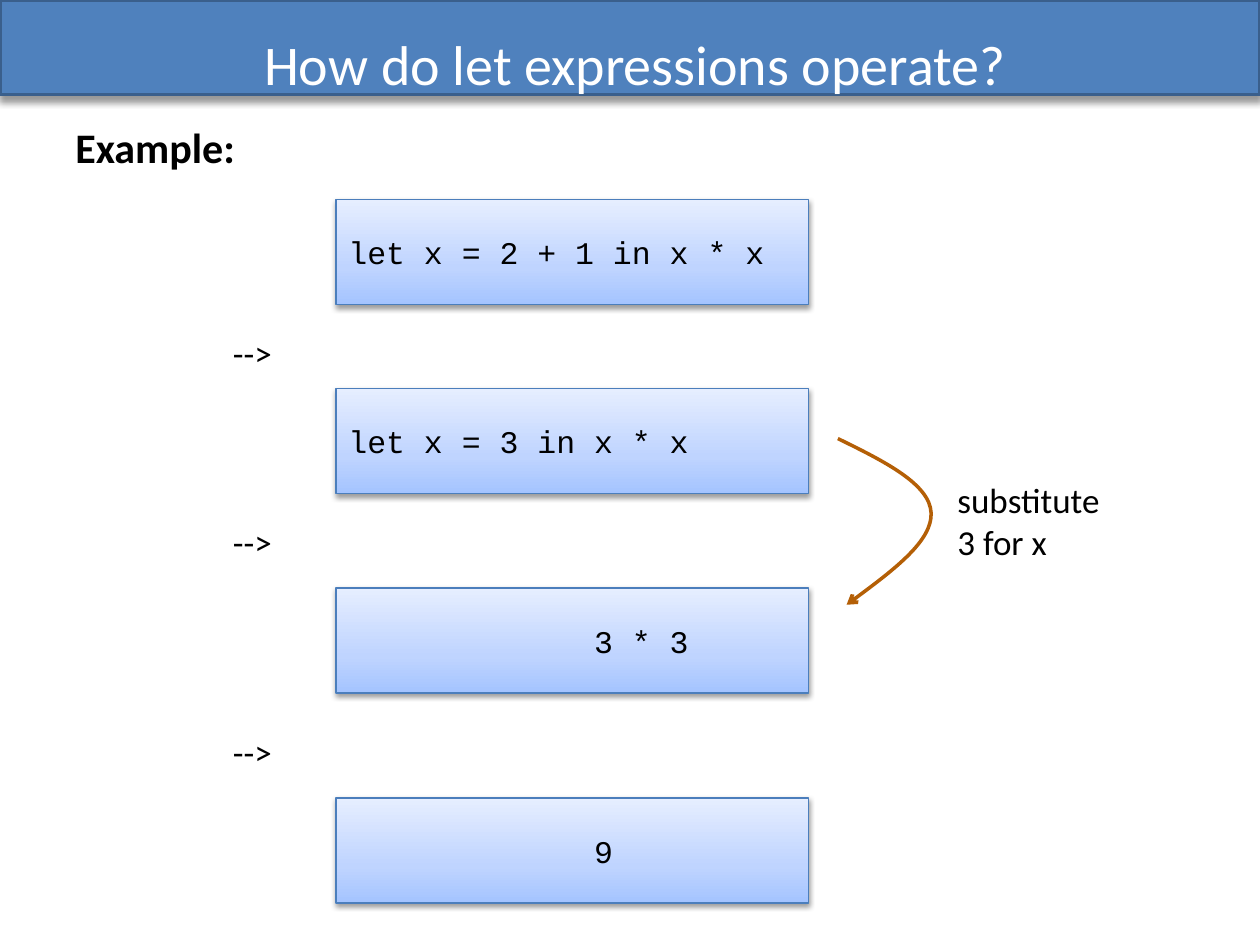
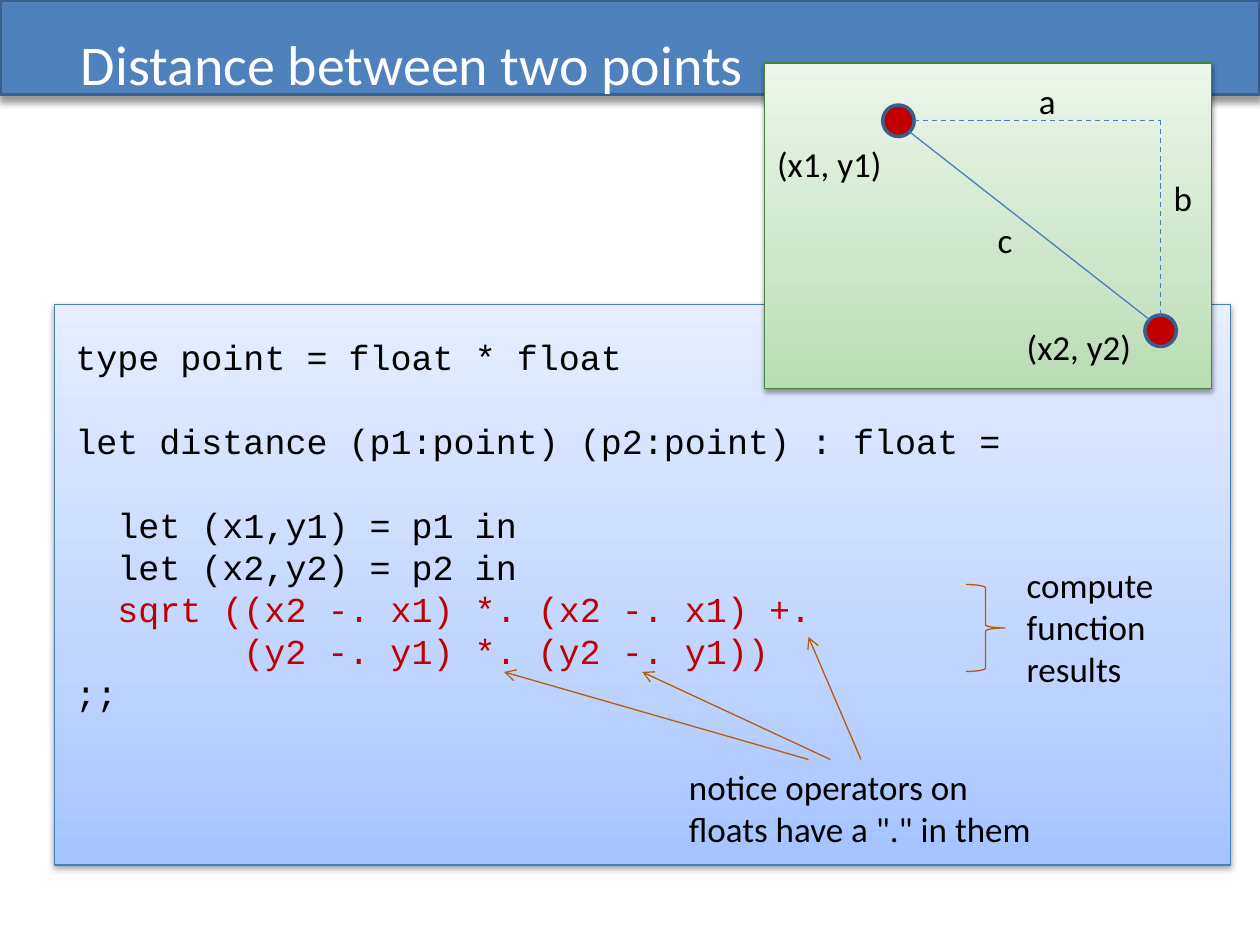
import math
from collections import namedtuple

import pptx
import pptx.dml.color
import pptx.enum.dml
import pptx.enum.shapes
import pptx.enum.text
import pptx.oxml
import pptx.oxml.ns
import pptx.util
from lxml import etree

Pt = pptx.util.Pt
SHAPE = pptx.enum.shapes.MSO_SHAPE
ALIGN = pptx.enum.text.PP_ALIGN
ANCHOR = pptx.enum.text.MSO_ANCHOR
FIT = pptx.enum.text.MSO_AUTO_SIZE
Box = namedtuple("Box", "left top width height")

COLOURS = {
    "text": "000000", "title": "FFFFFF", "band": "4F81BD", "edge": "3A5F8C",
    "blue": "4B7EBC", "green": "4B843F", "red": "C00000", "note": "B45F06",
}
BLUE_FADE = [(0, "A4C4FF"), (35, "BFD4FF"), (100, "E6EEFF")]
GREEN_FADE = [(0, "B8DCB3"), (35, "CDE5CA"), (100, "ECF6EA")]
BODY, CODE = "Calibri", "Courier New"
CODE_ADVANCE = 0.6      # width of a Courier New character, in ems
CODE_PITCH = 24         # line pitch of the program listing
TITLE_BOX = Box(39, -9, 648, 90)


# ---- Shared helpers ----

def rgb(name):
    return pptx.dml.color.RGBColor.from_string(COLOURS[name])


def add_xml(parent, tag, **attributes):
    child = etree.SubElement(parent, pptx.oxml.ns.qn(tag))
    for key, value in attributes.items():
        child.set(key, str(value))
    return child


def lengths(box):
    return [Pt(value) for value in box]


def format_frame(frame, font, size, colour, bold=False):
    for para in frame.paragraphs:
        for span in para.runs:
            span.font.name = font
            span.font.size = Pt(size)
            span.font.bold = bold
            span.font.color.rgb = rgb(colour)


def indent(para, characters, size):
    margin = Pt(characters * CODE_ADVANCE * size)
    para._p.get_or_add_pPr().set("marL", str(int(margin)))


def set_line(line, colour, width, dashed=False, arrow=False):
    line.color.rgb = rgb(colour)
    line.width = Pt(width)
    if dashed:
        line.dash_style = pptx.enum.dml.MSO_LINE.DASH
    if arrow:
        add_xml(line._get_or_add_ln(), "a:tailEnd", type="arrow")


def add_shadow(shape, alpha, blur, distance):
    effects = shape._element.spPr.find(pptx.oxml.ns.qn("a:effectLst"))
    shadow = add_xml(effects, "a:outerShdw", blurRad=int(Pt(blur)),
                     dist=int(Pt(distance)), dir=90 * 60000, rotWithShape=0)
    black = add_xml(shadow, "a:srgbClr", val="000000")
    add_xml(black, "a:alpha", val=alpha * 1000)


def add_shape(page, kind, box, fill, line, width):
    shape = page.shapes.add_shape(kind, *lengths(box))
    shape.shadow.inherit = False
    if fill:
        shape.fill.solid()
        shape.fill.fore_color.rgb = rgb(fill)
    else:
        shape.fill.background()
    set_line(shape.line, line, width)
    return shape


def add_panel(page, box, fade, line):
    panel = add_shape(page, SHAPE.RECTANGLE, box, None, line, 0.75)
    panel.fill.gradient()
    panel.fill.gradient_angle = 90
    stops = panel._element.spPr.find(".//" + pptx.oxml.ns.qn("a:gsLst"))
    for stop in list(stops):
        stops.remove(stop)
    for position, colour in fade:
        stop = add_xml(stops, "a:gs", pos=position * 1000)
        add_xml(stop, "a:srgbClr", val=colour)
    add_shadow(panel, 38, 3.1, 1.6)
    return panel


def add_label(page, box, text, font=BODY, size=20, bold=False, wrap=False):
    label = page.shapes.add_textbox(*lengths(box))
    frame = label.text_frame
    frame.text = text
    frame.word_wrap = wrap
    frame.auto_size = FIT.NONE if wrap else FIT.SHAPE_TO_FIT_TEXT
    format_frame(frame, font, size, "text", bold)
    return label


def add_line(page, start, end, colour, dashed=False, arrow=False):
    straight = pptx.enum.shapes.MSO_CONNECTOR.STRAIGHT
    line = page.shapes.add_connector(straight, *lengths(start + end))
    set_line(line.line, colour, 0.75, dashed, arrow)
    add_xml(line._element.spPr, "a:effectLst")


def add_curved_arrow(page, start, curves):
    """Draw cubic curves, each given as two control points and an end."""
    builder = page.shapes.build_freeform(*lengths(start))
    builder.add_line_segments([lengths(curve[2]) for curve in curves], close=False)
    arrow = builder.convert_to_shape()
    arrow.shadow.inherit = False
    arrow.fill.background()
    set_line(arrow.line, "note", 2, arrow=True)
    segments = list(arrow._element.iter(pptx.oxml.ns.qn("a:lnTo")))
    for segment, curve in zip(segments, curves):
        bend = add_xml(segment.getparent(), "a:cubicBezTo")
        for x, y in curve:
            add_xml(bend, "a:pt", x=int(Pt(x) - arrow.left), y=int(Pt(y) - arrow.top))
        segment.getparent().replace(segment, bend)


# ---- Title and band ----

def put_band_on_layout(page, box):
    band = add_shape(page, SHAPE.RECTANGLE, box, "band", "edge", 2)
    add_shadow(band, 40, 4, 3)
    page.slide_layout.shapes._spTree.insert(2, band._element)


def set_title(page, box, text, align):
    title = page.shapes.title
    title.left, title.top, title.width, title.height = lengths(box)
    frame = title.text_frame
    frame.text = text
    frame.word_wrap = True
    frame.auto_size = FIT.NONE
    frame.vertical_anchor = ANCHOR.MIDDLE
    frame.paragraphs[0].alignment = align
    format_frame(frame, BODY, 32, "title")


# ---- Evaluation of a let expression ----

def add_evaluation(page, box):
    steps = [  # expression, indent in characters, offset of its panel
        ("let x = 2 + 1 in x * x", 0, 0),
        ("let x = 3 in x * x", 0, 108),
        ("3 * 3", 13, 222),
        ("9", 13, 342),
    ]
    height, size = 60, 18
    for number, (text, characters, offset) in enumerate(steps):
        panel = add_panel(page, Box(box.left, box.top + offset, box.width, height),
                          BLUE_FADE, "blue")
        frame = panel.text_frame
        frame.text = text
        frame.word_wrap = True
        frame.vertical_anchor = ANCHOR.MIDDLE
        frame.paragraphs[0].alignment = ALIGN.LEFT
        indent(frame.paragraphs[0], characters, size)
        format_frame(frame, CODE, size, "text")
        if number:
            gap = 36 if number == 1 else 42
            add_label(page, Box(box.left - 66, box.top + offset - gap, 36.7, 31.5), "-->")


def add_substitution(page, box):
    """Curved arrow on the left of the box, its note on the right."""
    x, y = box.left, box.top
    tip = (x + 53.3, y + 42.5)
    add_curved_arrow(page, (x, y), [
        ((x + 26.6, y + 13), (x + 52.6, y + 26), tip),
        ((x + 54, y + 58.3), (x + 29.5, y + 77), (x + 5, y + 95)),
    ])
    add_label(page, Box(x + 61.2, y + 19.4, 97.2, 55.4), "substitute\n3 for x")


# ---- Distance between two points ----

def add_listing(page, box):
    size = 20
    lines = [  # code, indent in characters, empty lines above, colour
        ("type point = float * float", 0, 0, "text"),
        ("let distance (p1:point) (p2:point) : float =", 0, 1, "text"),
        ("let (x1,y1) = p1 in", 2, 1, "text"),
        ("let (x2,y2) = p2 in", 2, 0, "text"),
        ("sqrt ((x2 -. x1) *. (x2 -. x1) +.", 2, 0, "red"),
        ("(y2 -. y1) *. (y2 -. y1))", 8, 0, "red"),
        (";;", 0, 0, "text"),
    ]
    listing = add_label(page, box, "\n".join(line[0] for line in lines), CODE, size)
    for para, (_, characters, empty, colour) in zip(listing.text_frame.paragraphs, lines):
        indent(para, characters, size)
        para.line_spacing = Pt(CODE_PITCH)
        para.space_before = Pt(empty * CODE_PITCH)
        para.runs[0].font.color.rgb = rgb(colour)


def add_program(page, box):
    x, y = box.left, box.top
    add_panel(page, box, BLUE_FADE, "blue")
    add_listing(page, Box(x + 5, y + 14, 548, 225.4))

    # Result note with its brace
    add_shape(page, SHAPE.RIGHT_BRACE, Box(x + 521, y + 160, 22.3, 49.7),
              None, "note", 0.75)
    add_label(page, Box(x + 548.6, y + 144.2, 92.2, 80), "compute\nfunction\nresults")

    # Operator note with an arrow to each operator
    add_label(page, Box(x + 355.6, y + 260, 211.7, 55.4),
              'notice operators on\nfloats have a "." in them')
    for tail, tip in [(461, (431, 190)), (443.5, (336, 210)), (431, (257, 210))]:
        add_line(page, (x + tail, y + 260), (x + tip[0], y + tip[1]), "note", arrow=True)


def add_triangle(page, box):
    x, y = box.left, box.top
    radius = 9
    first, second = (x + 76.4, y + 33), (x + 226.2, y + 153)
    add_panel(page, box, GREEN_FADE, "green")
    for centre in (first, second):
        dot = Box(centre[0] - radius, centre[1] - radius, 2 * radius, 2 * radius)
        add_shape(page, SHAPE.OVAL, dot, "red", "edge", 2)

    # Hypotenuse and the two dashed legs
    inset = radius * math.sqrt(0.5)
    corner = (second[0], first[1])
    add_line(page, (first[0] + inset, first[1] + inset),
             (second[0] - inset, second[1] - inset), "blue")
    add_line(page, (first[0] + radius, first[1]), corner, "blue", dashed=True)
    add_line(page, (second[0], second[1] - radius), corner, "blue", dashed=True)

    for text, left, top, width in [
        ("(x1, y1)", 0, 42, 75), ("(x2, y2)", 142.6, 146.6, 75),
        ("a", 149.6, 6, 24.5), ("b", 226.6, 61.2, 25.2), ("c", 126, 85.5, 23),
    ]:
        add_label(page, Box(x + left, y + top, width, 31.5), text)


# ---- Deck ----

deck = pptx.Presentation()
deck.slide_width, deck.slide_height = Pt(720), Pt(540)
title_only = deck.slide_layouts[5]

page = deck.slides.add_slide(title_only)
put_band_on_layout(page, Box(0, 0, 720, 54))
set_title(page, TITLE_BOX, "How do let expressions operate?", ALIGN.CENTER)
add_evaluation(page, Box(192, 114, 270, 402))
add_substitution(page, Box(478.8, 250.6, 158.4, 95))
add_label(page, Box(36, 66, 648, 432), "Example:", size=24, bold=True, wrap=True)

page = deck.slides.add_slide(title_only)
set_title(page, TITLE_BOX, "Distance between two points", ALIGN.LEFT)
add_program(page, Box(31, 174, 672, 320.4))
add_triangle(page, Box(437, 36, 255.4, 186))

deck.save("out.pptx")
